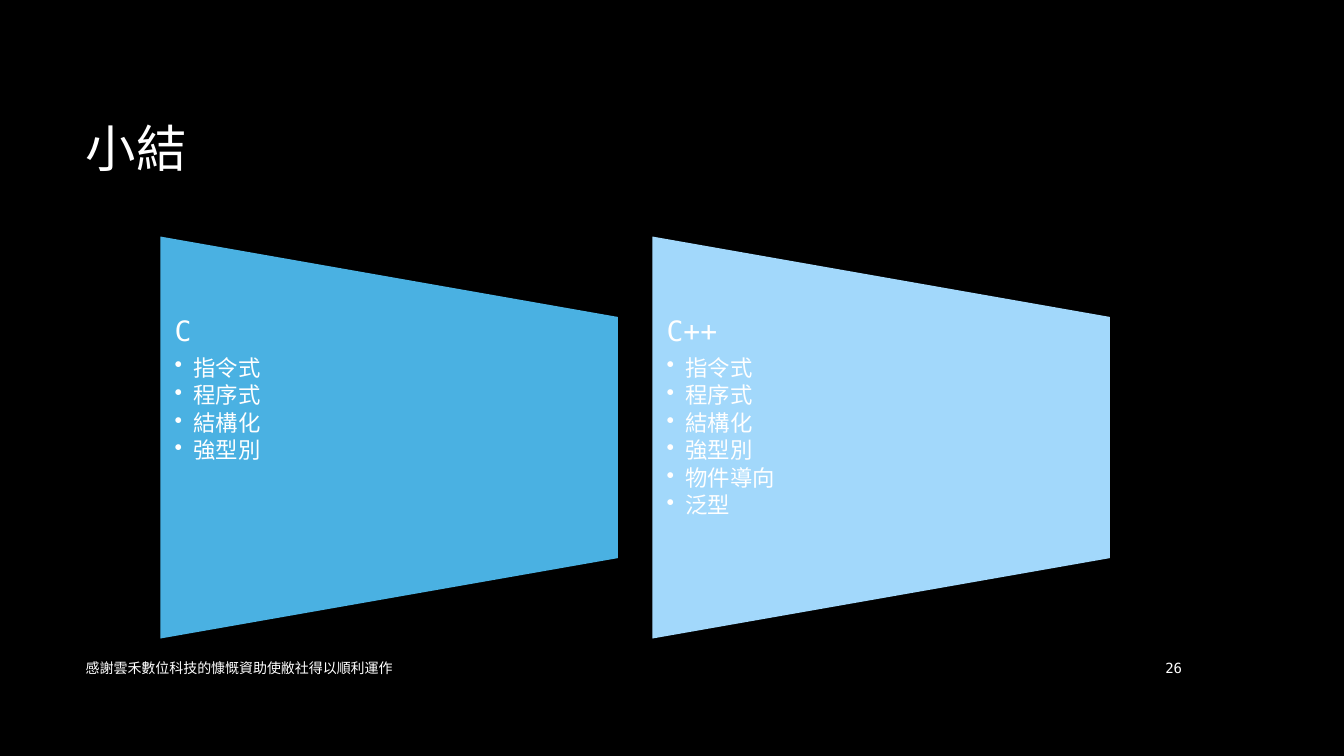
from dataclasses import dataclass

import lxml.etree
import pptx
import pptx.dml.color
import pptx.enum.shapes
import pptx.enum.text
import pptx.oxml.ns
import pptx.util
from pptx.util import Cm, Pt

COLORS = {"background": "000000", "text": "FFFFFF", "c": "4AB1E2", "cpp": "A2D8FB"}
TITLE_FONT = "Roboto"
BODY_FONT = "DejaVu Sans Mono"
ALIGN = pptx.enum.text.PP_ALIGN
MIDDLE = pptx.enum.text.MSO_ANCHOR.MIDDLE

# Panel geometry in cm, as seen after the quarter turn
PANEL_LEFT, PANEL_TOP, PANEL_PITCH = 4.04, 5.96, 12.4
PANEL_WIDTH, PANEL_HEIGHT = 11.53, 10.13
BULLET_INDENT = Cm(0.48)
SHARED_FEATURES = ("指令式", "程序式", "結構化", "強型別")


@dataclass
class Language:
    name: str
    color: str
    features: tuple[str, ...]


@dataclass
class FooterItem:
    text: str
    left: float
    width: float
    align: ALIGN


LANGUAGES = [
    Language("C", "c", SHARED_FEATURES),
    Language("C++", "cpp", SHARED_FEATURES + ("物件導向", "泛型")),
]
FOOTER = [
    FooterItem("感謝雲禾數位科技的慷慨資助使敝社得以順利運作", 1.91, 21.74, ALIGN.LEFT),
    FooterItem("26", 28.52, 1.52, ALIGN.RIGHT),
]


def rgb(name: str) -> pptx.dml.color.RGBColor:
    return pptx.dml.color.RGBColor.from_string(COLORS[name])


def format_runs(paragraph, size: float, font: str = BODY_FONT) -> None:
    for run in paragraph.runs:
        run.font.size = Pt(size)
        run.font.name = font
        run.font.color.rgb = rgb("text")


def add_bullet(paragraph) -> None:
    properties = paragraph._p.get_or_add_pPr()
    properties.set("marL", str(BULLET_INDENT))
    properties.set("indent", str(-BULLET_INDENT))
    bullet = lxml.etree.SubElement(properties, pptx.oxml.ns.qn("a:buChar"))
    bullet.set("char", "•")


def draw_language(slide, language: Language, left: float) -> None:
    # Trapezoid: its width and height swap when turned about its centre
    shift = (PANEL_WIDTH - PANEL_HEIGHT) / 2
    panel = slide.shapes.add_shape(
        pptx.enum.shapes.MSO_SHAPE.FLOWCHART_MANUAL_OPERATION,
        Cm(left + shift), Cm(PANEL_TOP - shift), Cm(PANEL_HEIGHT), Cm(PANEL_WIDTH))
    panel.rotation = 270
    panel.shadow.inherit = False
    panel.fill.solid()
    panel.fill.fore_color.rgb = rgb(language.color)
    panel.line.fill.background()

    # Name and features in the middle three fifths of the panel
    summary = slide.shapes.add_textbox(
        Cm(left), Cm(PANEL_TOP + PANEL_HEIGHT / 5),
        Cm(PANEL_WIDTH), Cm(PANEL_HEIGHT * 3 / 5)).text_frame
    summary.word_wrap = True
    summary.margin_left = summary.margin_right = Cm(0.36)
    summary.margin_top = summary.margin_bottom = 0
    summary.text = "\n".join((language.name, *language.features))
    heading, *features = summary.paragraphs
    heading.line_spacing = 0.9
    heading.space_after = Pt(7)
    format_runs(heading, 20)
    for feature in features:
        feature.level = 1
        add_bullet(feature)
        feature.line_spacing = 0.9
        feature.space_after = Pt(2.4)
        format_runs(feature, 16)


def draw_footer_item(slide, item: FooterItem) -> None:
    footer = slide.shapes.add_textbox(
        Cm(item.left), Cm(16.31), Cm(item.width), Cm(1.04)).text_frame
    footer.word_wrap = True
    footer.vertical_anchor = MIDDLE
    footer.text = item.text
    footer.paragraphs[0].alignment = item.align
    format_runs(footer.paragraphs[0], 10)


def main() -> None:
    deck = pptx.Presentation()
    deck.slide_width, deck.slide_height = Cm(33.87), Cm(19.05)
    slide = deck.slides.add_slide(deck.slide_layouts.get_by_name("Title Only"))
    slide.background.fill.solid()
    slide.background.fill.fore_color.rgb = rgb("background")

    # Title
    title = slide.shapes.title
    title.left, title.top, title.width, title.height = Cm(1.91), Cm(1.7), Cm(28.14), Cm(4.04)
    title.text_frame.text = "小結"
    title.text_frame.vertical_anchor = MIDDLE
    title.text_frame.paragraphs[0].alignment = ALIGN.LEFT
    format_runs(title.text_frame.paragraphs[0], 36, TITLE_FONT)

    # Language panels
    for column, language in enumerate(LANGUAGES):
        draw_language(slide, language, PANEL_LEFT + column * PANEL_PITCH)

    # Footer
    for item in FOOTER:
        draw_footer_item(slide, item)

    deck.save("out.pptx")


if __name__ == "__main__":
    main()
